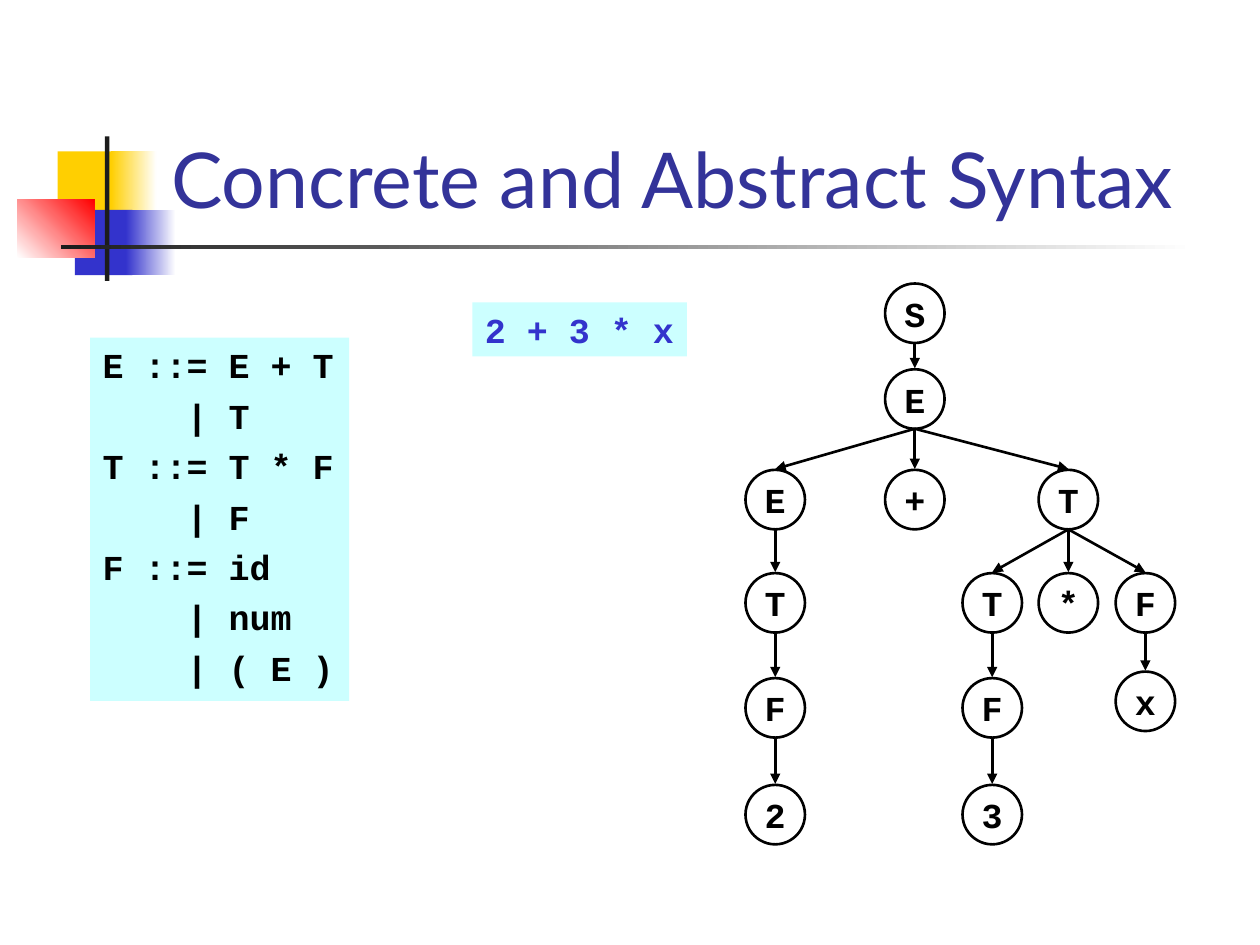
"""Build the slide on concrete and abstract syntax with its parse tree."""
from dataclasses import dataclass

import pptx
import pptx.dml.color
import pptx.enum.shapes
import pptx.enum.text
import pptx.oxml
import pptx.oxml.ns
import pptx.util
from pptx.util import Pt

SHAPE = pptx.enum.shapes.MSO_SHAPE
ANCHOR = pptx.enum.text.MSO_ANCHOR
ALIGN = pptx.enum.text.PP_ALIGN
BLACK, WHITE, CYAN = "000000", "FFFFFF", "CCFFFF"
YELLOW, BLUE, RED, DARK, NAVY = "FFCF01", "3333CC", "FF0000", "1C1C1C", "333399"
MONO = "Courier New"
DIAMETER = 34


@dataclass(frozen=True)
class Block:
    x: float
    y: float
    w: float
    h: float
    colors: tuple[str, ...]
    angle: float = 0


@dataclass(frozen=True)
class Node:
    label: str
    x: float
    y: float
    children: tuple["Node", ...] = ()


@dataclass(frozen=True)
class Style:
    font: str
    size: float
    color: str
    bold: bool = True
    align: ALIGN = ALIGN.LEFT
    anchor: ANCHOR = ANCHOR.TOP
    wrap: bool = False
    space: float = 0


BLOCKS = (
    Block(33, 86.5, 34.5, 37.5, (YELLOW,)),
    Block(63.5, 86.5, 26, 37.5, (YELLOW, WHITE)),
    Block(42.75, 120, 33, 37.25, (BLUE,)),
    Block(72, 120, 28.5, 37.25, (BLUE, WHITE)),
    Block(10, 114, 44, 33.25, (WHITE, RED), 45),
    Block(60, 78, 2.5, 82.5, (DARK,)),
    Block(35, 140, 648, 2.5, (DARK, WHITE)),
)
ROWS = (179, 228, 285.5, 344.5, 404.5, 465.5)
LEFT, MID, INNER, RIGHT, OUTER = 443, 522.75, 567, 610.5, 654.5
TREE = Node("S", MID, ROWS[0], (
    Node("E", MID, ROWS[1], (
        Node("E", LEFT, ROWS[2], (
            Node("T", LEFT, ROWS[3], (
                Node("F", LEFT, ROWS[4], (Node("2", LEFT, ROWS[5]),)),)),)),
        Node("+", MID, ROWS[2]),
        Node("T", RIGHT, ROWS[2], (
            Node("T", INNER, ROWS[3], (
                Node("F", INNER, ROWS[4], (Node("3", INNER, ROWS[5]),)),)),
            Node("*", RIGHT, ROWS[3]),
            Node("F", OUTER, ROWS[3], (Node("x", OUTER, 400.75),)))))),))
GRAMMAR = (
    "E ::= E + T",
    "    | T",
    "T ::= T * F",
    "    | F",
    "F ::= id",
    "    | num",
    "    | ( E )",
)
TITLE = Style("Lato", 44, NAVY, bold=False, anchor=ANCHOR.BOTTOM, wrap=True)
NODE = Style(MONO, 20, BLACK, align=ALIGN.CENTER, anchor=ANCHOR.MIDDLE)
RULES = Style(MONO, 20, BLACK, space=4.8)
INPUT = Style(MONO, 20, BLUE)


def rgb(value: str) -> pptx.dml.color.RGBColor:
    return pptx.dml.color.RGBColor.from_string(value)


def write(sp, lines: tuple[str, ...], style: Style) -> None:
    tf = sp.text_frame
    tf.word_wrap = style.wrap
    tf.vertical_anchor = style.anchor
    for i, line in enumerate(lines):
        p = tf.add_paragraph() if i else tf.paragraphs[0]
        p.alignment = style.align
        if i:
            p.space_before = Pt(style.space)
        r = p.add_run()
        r.text = line
        r.font.name, r.font.size, r.font.bold = style.font, Pt(style.size), style.bold
        r.font.color.rgb = rgb(style.color)


def add_block(s, block: Block):
    sp = s.shapes.add_shape(SHAPE.RECTANGLE, Pt(block.x), Pt(block.y), Pt(block.w), Pt(block.h))
    sp.shadow.inherit = False
    sp.line.fill.background()
    if len(block.colors) == 1:
        sp.fill.solid()
        sp.fill.fore_color.rgb = rgb(block.colors[0])
    else:
        sp.fill.gradient()
        sp.fill.gradient_angle = block.angle
        for stop, color in zip(sp.fill.gradient_stops, block.colors):
            stop.color.rgb = rgb(color)
    return sp


def add_arrow(s, parent: Node, child: Node) -> None:
    radius = DIAMETER / 2
    sp = s.shapes.add_connector(
        pptx.enum.shapes.MSO_CONNECTOR.STRAIGHT,
        Pt(parent.x), Pt(parent.y + radius), Pt(child.x), Pt(child.y - radius - 0.5))
    sp.line.color.rgb = rgb(BLACK)
    sp.line.width = Pt(1.5)
    tail = pptx.oxml.parse_xml(
        f'<a:tailEnd {pptx.oxml.ns.nsdecls("a")} type="triangle"/>')
    sp.line._get_or_add_ln().append(tail)
    effects = pptx.oxml.parse_xml(f'<a:effectLst {pptx.oxml.ns.nsdecls("a")}/>')
    sp._element.spPr.append(effects)


def add_tree(s, node: Node) -> None:
    radius = DIAMETER / 2
    sp = s.shapes.add_shape(
        SHAPE.OVAL, Pt(node.x - radius), Pt(node.y - radius), Pt(DIAMETER), Pt(DIAMETER))
    sp.shadow.inherit = False
    sp.fill.background()
    sp.line.color.rgb = rgb(BLACK)
    sp.line.width = Pt(1.5)
    write(sp, (node.label,), NODE)
    for child in node.children:
        add_tree(s, child)
        add_arrow(s, node, child)


def main() -> None:
    prs = pptx.Presentation()
    prs.slide_width, prs.slide_height = Pt(720), Pt(540)
    s = prs.slides.add_slide(prs.slide_layouts[6])
    for block in BLOCKS:
        add_block(s, block)
    title = s.shapes.add_textbox(Pt(90.75), Pt(16.75), Pt(613.5), Pt(115))
    write(title, ("Concrete and Abstract Syntax",), TITLE)
    add_tree(s, TREE)
    write(add_block(s, Block(51.5, 193, 148, 207.5, (CYAN,))), GRAMMAR, RULES)
    write(add_block(s, Block(270, 172.75, 122.5, 31, (CYAN,))), ("2 + 3 * x",), INPUT)
    prs.save("out.pptx")


if __name__ == "__main__":
    main()
